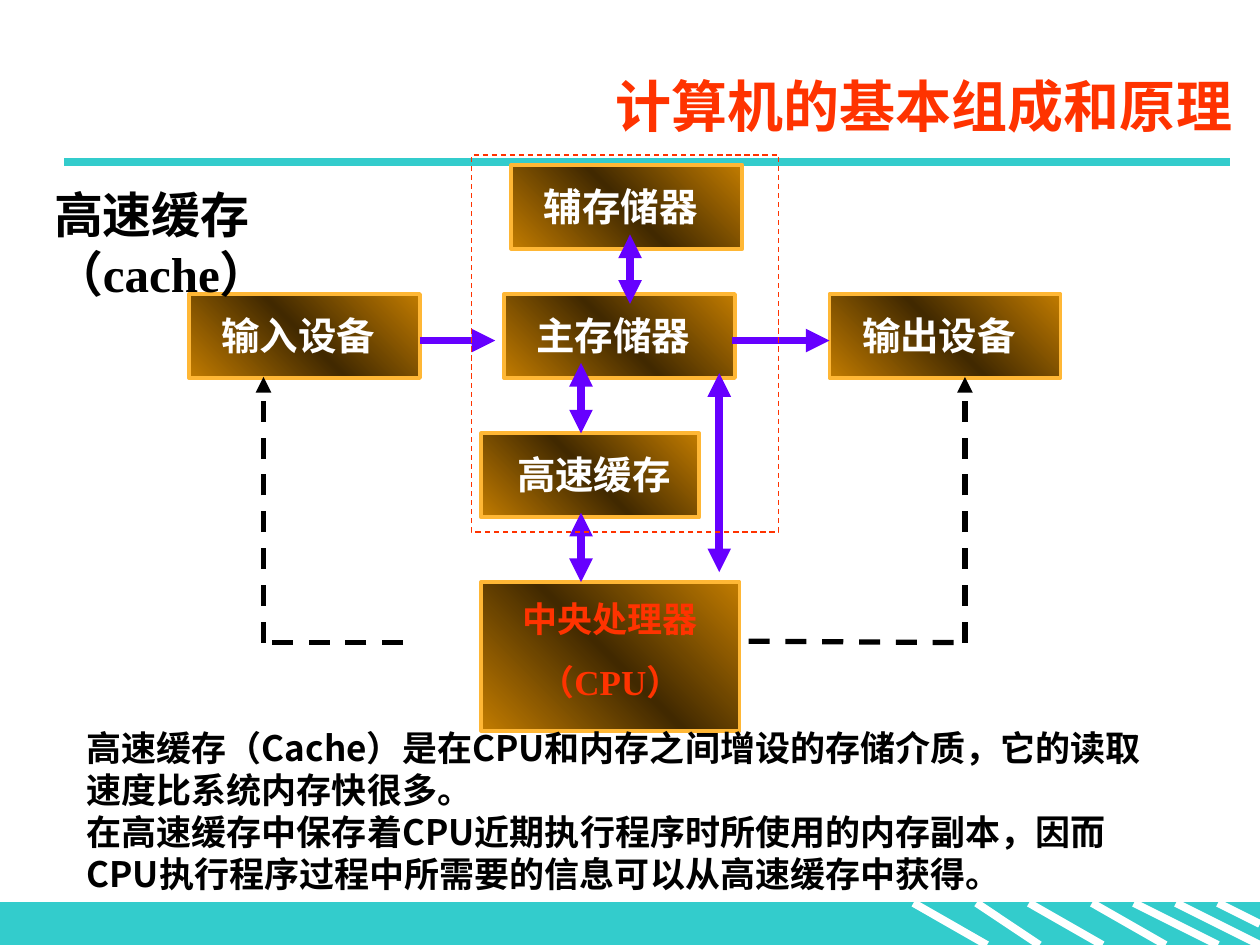
from copy import deepcopy
from lxml import etree
from pptx import Presentation
from pptx.dml.color import RGBColor
from pptx.enum.dml import MSO_LINE
from pptx.enum.shapes import MSO_CONNECTOR, MSO_SHAPE
from pptx.enum.text import MSO_ANCHOR, PP_ALIGN
from pptx.oxml.ns import qn
from pptx.util import Pt

TEAL = RGBColor(0x33, 0xCC, 0xCC)
WHITE = RGBColor(0xFF, 0xFF, 0xFF)
BLACK = RGBColor(0, 0, 0)
RED = RGBColor(0xFF, 0x33, 0x00)
GOLD = RGBColor(0xFF, 0xB7, 0x35)
AMBER = RGBColor(0xC2, 0x7C, 0x00)
BROWN = RGBColor(0x41, 0x29, 0x00)
VIOLET = RGBColor(0x66, 0x00, 0xFF)
RECT = MSO_SHAPE.RECTANGLE
STRAIGHT = MSO_CONNECTOR.STRAIGHT
DASH = MSO_LINE.DASH
MIDDLE = MSO_ANCHOR.MIDDLE
TOP = MSO_ANCHOR.TOP
LEFT, CENTER, RIGHT = PP_ALIGN.LEFT, PP_ALIGN.CENTER, PP_ALIGN.RIGHT
SERIF = "Times New Roman"
SANS = "Noto Sans CJK SC"

deck = Presentation()
deck.slide_width, deck.slide_height = Pt(720), Pt(540)
slide = deck.slides.add_slide(deck.slide_layouts[6])
shapes = slide.shapes


def add_line(ends, color, width, heads=(), dash=None):
    line = shapes.add_connector(STRAIGHT, *[Pt(v) for v in ends])
    line.line.color.rgb = color
    line.line.width = Pt(width)
    if dash:
        line.line.dash_style = dash
    pen = line.line._get_or_add_ln()
    for head in heads:
        etree.SubElement(pen, qn("a:" + head), type="triangle")
    etree.SubElement(line._element.spPr, qn("a:effectLst"))


def add_text(place, lines, size, color, align=LEFT, font=SERIF, anchor=TOP, gap=0):
    frame = shapes.add_textbox(*[Pt(v) for v in place]).text_frame
    frame.word_wrap = True
    frame.vertical_anchor = anchor
    for i, text in enumerate(lines):
        para = frame.add_paragraph() if i else frame.paragraphs[0]
        para.alignment = align
        if i and gap:
            para.space_before = Pt(gap)
        run = para.add_run()
        run.text = text
        run.font.size = Pt(size)
        run.font.name = font
        run.font.bold = True
        run.font.color.rgb = color


band = shapes.add_shape(RECT, 0, Pt(516), Pt(720), Pt(24))
band.shadow.inherit = False
band.fill.solid()
band.fill.fore_color.rgb = TEAL
band.line.color.rgb = TEAL
band.line.width = Pt(0.75)

stripes = [(522, 564, 540), (558, 594, 540), (588, 630, 540), (624, 666, 540),
           (648, 696, 540), (672, 720, 540), (696, 720, 528)]
for start, end, base in stripes:
    add_line((start, 516, end, base), WHITE, 4.5)
add_line((36.8, 92.6, 702.8, 92.6), TEAL, 4.5)

add_text((99.4, 31.7, 612, 56.9), ["计算机的基本组成和原理"], 32, RED, RIGHT,
         anchor=MIDDLE)

boxes = [
    ((275, 247.7, 124.6, 48), (282.2, 254.2, 114.5, 34), ["高速缓存"], 22, WHITE),
    ((275, 332.6, 147.6, 85), (247.7, 337.7, 202.3, 67.7), ["中央处理器", "（CPU）"], 20, RED),
]
units = [(288, 168, "主存储器"), (292.2, 94.2, "辅存储器"),
         (108, 168, "输入设备"), (474, 168, "输出设备")]
for x, y, name in units:
    boxes.append(((x, y, 132, 48), (x + 7, y + 7, 111, 34), [name], 22, WHITE))

for place, inner, lines, size, color in boxes:
    box = shapes.add_shape(RECT, *[Pt(v) for v in place])
    box.shadow.inherit = False
    box.fill.gradient()
    box.fill.gradient_angle = 45
    first = box.fill.gradient_stops[0]._gs
    first.addnext(deepcopy(first))
    for stop, pos, tone in zip(box.fill.gradient_stops, (0, 0.5, 1), (AMBER, BROWN, AMBER)):
        stop.position = pos
        stop.color.rgb = tone
    box.line.color.rgb = GOLD
    box.line.width = Pt(2.25)
    add_text(inner, lines, size, color, CENTER, gap=12)

for x, low, high in [(360, 173.6, 134), (332, 247.7, 207.4), (332, 332.6, 293), (411, 327, 213.2)]:
    add_line((x, low, x, high), VIOLET, 4.5, ("headEnd", "tailEnd"))
for start, end in [(240, 283), (418.4, 474)]:
    add_line((start, 194.6, end, 194.6), VIOLET, 4.5, ("tailEnd",))
for start, x, y in [(230.4, 150.6, 367.2), (427.8, 551.4, 366.4)]:
    add_line((start, y, x, 367.2), BLACK, 3, dash=DASH)
    add_line((x, 367.2, x, 215.4), BLACK, 3, ("tailEnd",), DASH)

add_text((42.4, 411.8, 623.6, 103), [
    "高速缓存（Cache）是在CPU和内存之间增设的存储介质，它的读取速度比系统内存快很多。",
    "在高速缓存中保存着CPU近期执行程序时所使用的内存副本，因而CPU执行程序过程中所需要的信息可以从高速缓存中获得。",
], 20, BLACK, font=SANS)

frame = shapes.add_shape(RECT, Pt(269.4), Pt(88.6), Pt(175.6), Pt(215.4))
frame.shadow.inherit = False
frame.fill.background()
frame.line.color.rgb = RED
frame.line.width = Pt(0.75)
frame.line.dash_style = DASH

add_text((23.8, 102.2, 234.8, 41), ["高速缓存（cache）"], 28, BLACK)

deck.save("out.pptx")
